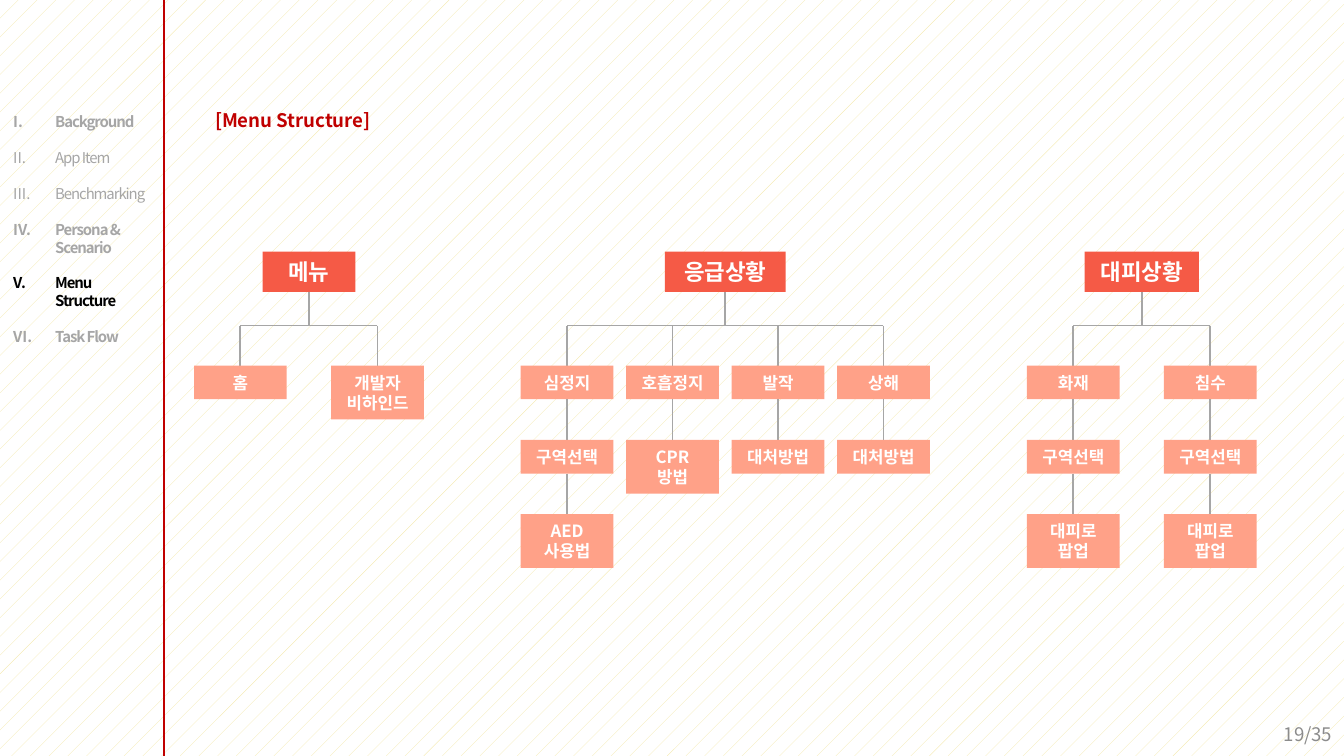
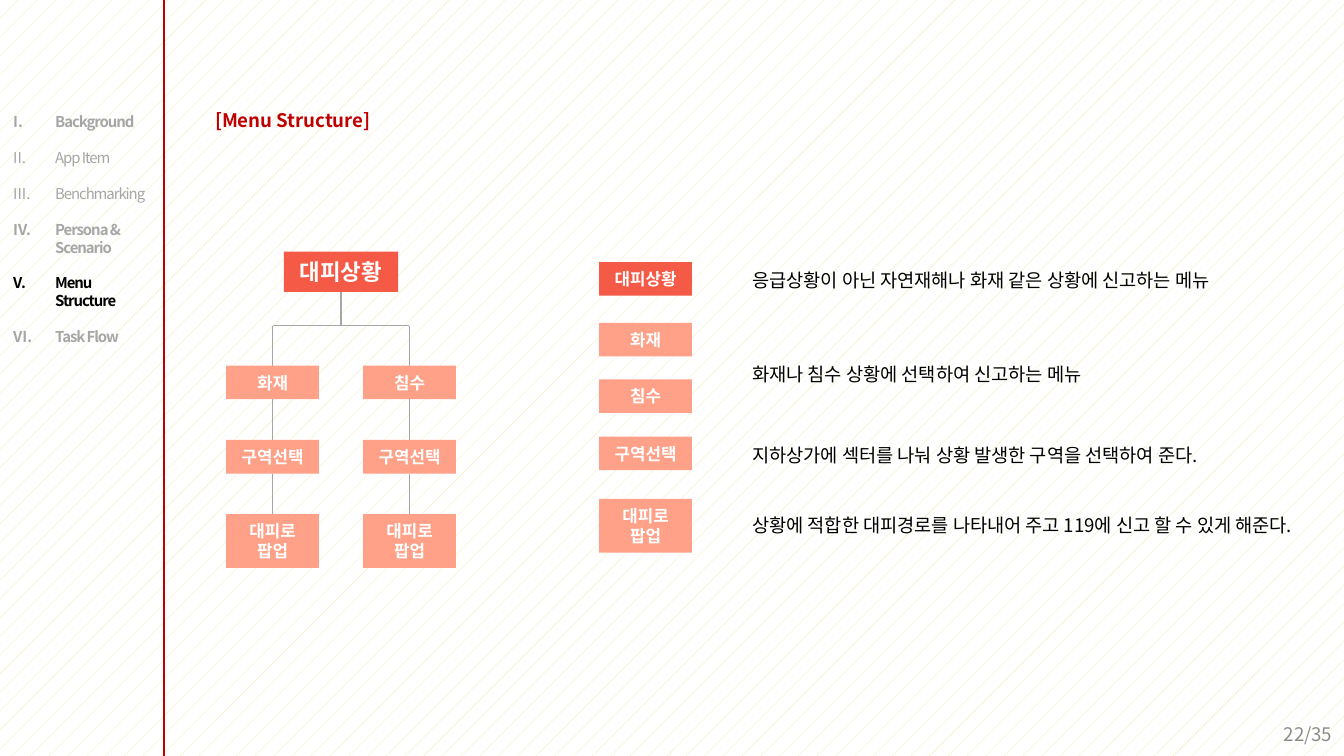
from dataclasses import dataclass

from lxml.etree import SubElement
from pptx import Presentation
from pptx.dml.color import RGBColor
from pptx.enum.dml import MSO_PATTERN
from pptx.enum.shapes import MSO_CONNECTOR, MSO_SHAPE
from pptx.enum.text import MSO_ANCHOR, MSO_AUTO_SIZE as AUTO, PP_ALIGN
from pptx.oxml.ns import qn
from pptx.slide import Slide
from pptx.text.text import TextFrame, _Paragraph as Paragraph
from pptx.util import Pt

FONT = "Noto Sans CJK KR"
CRIMSON = RGBColor(0xC0, 0x00, 0x00)
CORAL = RGBColor(0xF5, 0x5A, 0x46)
SALMON = RGBColor(0xFF, 0xA1, 0x88)
GRAY = RGBColor(0xA6, 0xA6, 0xA6)
PAGE_GRAY = RGBColor(0x8C, 0x8C, 0x8C)
CREAM = RGBColor(0xF3, 0xE7, 0xA6)
WHITE = RGBColor(0xFF, 0xFF, 0xFF)
BLACK = RGBColor(0x00, 0x00, 0x00)

WIDTH, HEIGHT = 720, 405
NODE_W = 49.7
ROOT_TOP, BUS_Y, ROW_TOP, ROW_PITCH = 134.8, 174.4, 195.9, 39.8
PAIR_PITCH = 73.4
LEGEND_X, NOTE_X = 321, 396
INDENT = 22.5


@dataclass(frozen=True)
class Section:
    name: str
    bold: bool = True
    color: RGBColor = GRAY


@dataclass(frozen=True)
class Tree:
    root: str
    root_w: float
    first_x: float
    pitch: float
    columns: tuple[tuple[str, ...], ...]


@dataclass(frozen=True)
class Legend:
    text: str
    top: float
    fill: RGBColor = SALMON


@dataclass(frozen=True)
class Note:
    text: str
    top: float
    width: float


SECTIONS = (
    Section("Background"),
    Section("App Item", bold=False),
    Section("Benchmarking", bold=False),
    Section("Persona & Scenario"),
    Section("Menu Structure", color=BLACK),
    Section("Task Flow"),
)

EVACUATION = tuple((cause, "구역선택", "대피로 팝업") for cause in ("화재", "침수"))


def evacuation_tree(first_x: float) -> Tree:
    return Tree("대피상황", 61.2, first_x, PAIR_PITCH, EVACUATION)


OVERVIEW = (
    Tree("메뉴", NODE_W, 128.8, PAIR_PITCH, (("홈",), ("개발자 비하인드",))),
    Tree("응급상황", 64.8, 303.8, 56.5, (
        ("심정지", "구역선택", "AED\n사용법"),
        ("호흡정지", "CPR\n방법"),
        ("발작", "대처방법"),
        ("상해", "대처방법"),
    )),
    evacuation_tree(575),
)

LEGENDS = (
    Legend("대피상황", 140.4, CORAL),
    Legend("화재", 173),
    Legend("침수", 203.2),
    Legend("구역선택", 233.9),
    Legend("대피로 팝업", 267.3),
)

NOTES = (
    Note("응급상황이 아닌 자연재해나 화재 같은 상황에 신고하는 메뉴", 140.4, 270.7),
    Note("화재나 침수 상황에 선택하여 신고하는 메뉴", 190.8, 198.7),
    Note("지하상가에 섹터를 나눠 상황 발생한 구역을 선택하여 준다.", 234, 264.2),
    Note("상황에 적합한 대피경로를 나타내어 주고 119에 신고 할 수 있게 해준다.", 271.6, 319),
)


def add_run(p: Paragraph, text: str, size: float, color: RGBColor,
            bold: bool = False, spacing: float = 0) -> None:
    r = p.add_run()
    r.text = text
    r.font.size, r.font.bold, r.font.name = Pt(size), bold, FONT
    r.font.color.rgb = color
    rpr = r._r.get_or_add_rPr()
    SubElement(rpr, qn("a:ea")).set("typeface", FONT)
    if spacing:
        rpr.set("spc", str(round(spacing * 100)))


def add_box(slide: Slide, x: float, y: float, w: float, h: float,
            wrap: bool = True) -> TextFrame:
    tf = slide.shapes.add_textbox(Pt(x), Pt(y), Pt(w), Pt(h)).text_frame
    tf.word_wrap = wrap
    tf.auto_size = AUTO.SHAPE_TO_FIT_TEXT
    return tf


def add_line(slide: Slide, x1: float, y1: float, x2: float, y2: float,
             color: RGBColor = GRAY) -> None:
    line = slide.shapes.add_connector(
        MSO_CONNECTOR.STRAIGHT, Pt(x1), Pt(y1), Pt(x2), Pt(y2))
    line.line.color.rgb = color
    line.line.width = Pt(1)
    SubElement(line._element.spPr, qn("a:effectLst"))


def add_node(slide: Slide, text: str, center: float, top: float,
             width: float = NODE_W, fill: RGBColor = SALMON, size: float = 9) -> float:
    height = 7.2 + 1.2 * size * len(text.split())
    sp = slide.shapes.add_shape(
        MSO_SHAPE.RECTANGLE, Pt(center - width / 2), Pt(top), Pt(width), Pt(height))
    sp.shadow.inherit = False
    sp.fill.solid()
    sp.fill.fore_color.rgb = fill
    sp.line.fill.background()
    tf = sp.text_frame
    tf.word_wrap = True
    tf.auto_size = AUTO.SHAPE_TO_FIT_TEXT
    for i, part in enumerate(text.split("\n")):
        p = tf.add_paragraph() if i else tf.paragraphs[0]
        p.alignment = PP_ALIGN.CENTER
        add_run(p, part, size, WHITE, bold=True)
    return top + height


def add_tree(slide: Slide, tree: Tree) -> None:
    last_x = tree.first_x + tree.pitch * (len(tree.columns) - 1)
    middle = (tree.first_x + last_x) / 2
    bottom = add_node(slide, tree.root, middle, ROOT_TOP, tree.root_w, CORAL, 12)
    add_line(slide, middle, bottom, middle, BUS_Y)
    add_line(slide, tree.first_x, BUS_Y, last_x, BUS_Y)
    for i, column in enumerate(tree.columns):
        x, bottom = tree.first_x + i * tree.pitch, BUS_Y
        for row, text in enumerate(column):
            top = ROW_TOP + row * ROW_PITCH
            add_line(slide, x, bottom, x, top)
            bottom = add_node(slide, text, x, top)


def add_sidebar(slide: Slide) -> None:
    add_line(slide, 87.8, 0, 87.8, HEIGHT, CRIMSON)
    tf = add_box(slide, 0, 56.9, 90, 225.4)
    for i, section in enumerate(SECTIONS):
        p = tf.add_paragraph() if i else tf.paragraphs[0]
        if i < len(SECTIONS) - 1:
            p.space_after = Pt(9.6)
        ppr = p._p.get_or_add_pPr()
        ppr.set("marL", str(Pt(INDENT)))
        ppr.set("indent", str(-Pt(INDENT)))
        SubElement(ppr, qn("a:buFont")).set("typeface", "+mj-lt")
        SubElement(ppr, qn("a:buAutoNum")).set("type", "romanUcPeriod")
        add_run(p, section.name, 8, section.color, section.bold, -0.6)


def add_page(prs: Presentation, page: str) -> Slide:
    slide = prs.slides.add_slide(prs.slide_layouts[5])
    fill = slide.background.fill
    fill.patterned()
    fill.pattern = MSO_PATTERN.PERCENT_5
    fill.fore_color.rgb, fill.back_color.rgb = CREAM, WHITE

    title = slide.shapes.title
    title.left, title.top, title.width, title.height = Pt(108), Pt(54.7), Pt(226.8), Pt(19.4)
    tf = title.text_frame
    tf.word_wrap = True
    tf.auto_size = AUTO.SHAPE_TO_FIT_TEXT
    tf.vertical_anchor = MSO_ANCHOR.TOP
    tf.paragraphs[0].alignment = PP_ALIGN.LEFT
    add_run(tf.paragraphs[0], "[Menu Structure]", 10, CRIMSON, bold=True)

    add_sidebar(slide)
    tf = add_box(slide, 553, 382.3, 167.8, 21.6)
    tf.auto_size = AUTO.NONE
    tf.vertical_anchor = MSO_ANCHOR.MIDDLE
    tf.paragraphs[0].alignment = PP_ALIGN.RIGHT
    add_run(tf.paragraphs[0], page, 10, PAGE_GRAY)
    return slide


def main() -> None:
    prs = Presentation()
    prs.slide_width, prs.slide_height = Pt(WIDTH), Pt(HEIGHT)

    overview = add_page(prs, "19/35")
    for tree in OVERVIEW:
        add_tree(overview, tree)

    detail = add_page(prs, "22/35")
    add_tree(detail, evacuation_tree(146))
    for legend in LEGENDS:
        add_node(detail, legend.text, LEGEND_X + NODE_W / 2, legend.top, fill=legend.fill)
    for note in NOTES:
        tf = add_box(detail, NOTE_X, note.top, note.width, 19.4, wrap=False)
        add_run(tf.paragraphs[0], note.text, 10, BLACK)

    prs.save("out.pptx")


if __name__ == "__main__":
    main()
